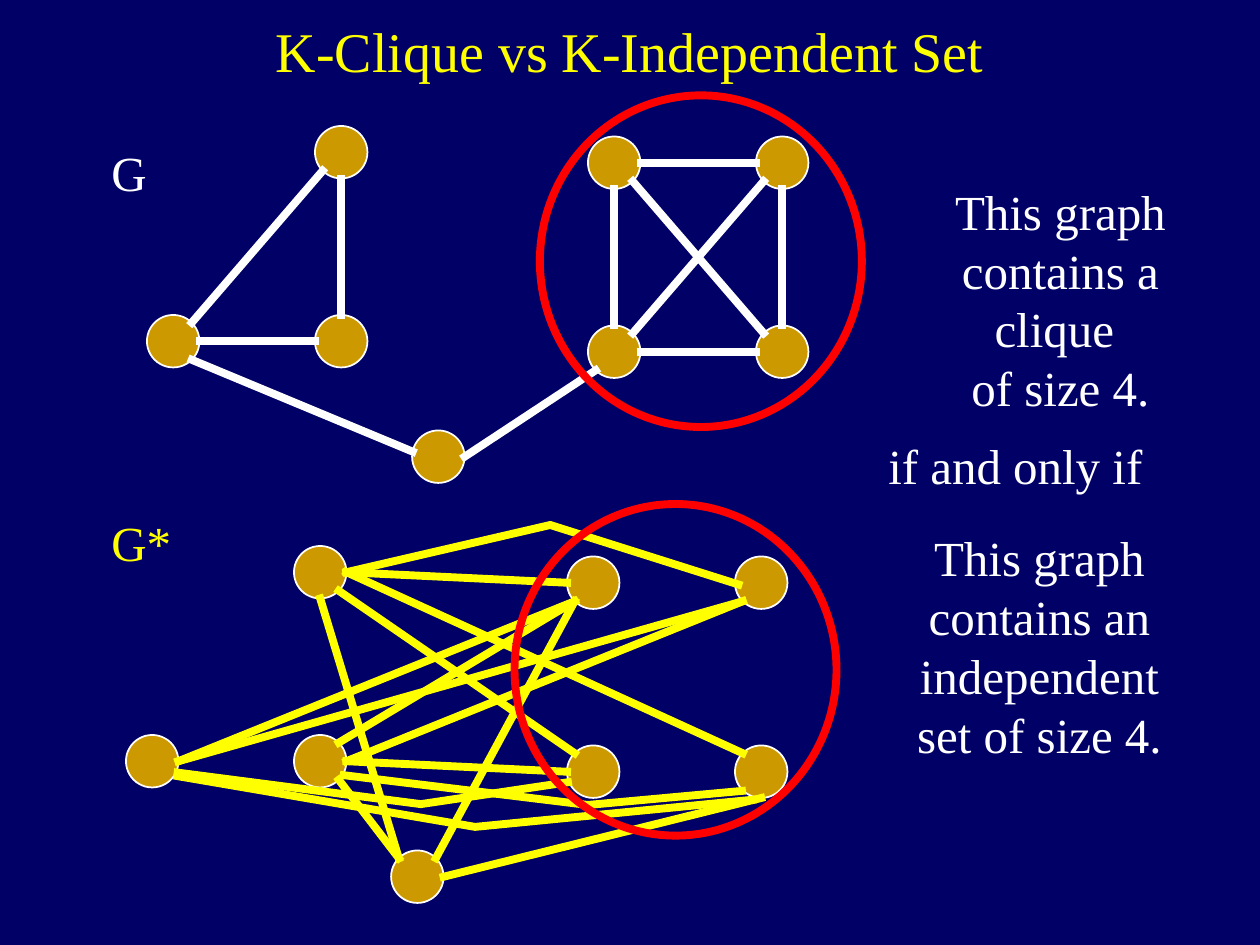
import math

import pptx
import pptx.dml.color
import pptx.enum.shapes
import pptx.enum.text
import pptx.oxml
import pptx.oxml.ns
import pptx.util

Pt = pptx.util.Pt
SHAPES = pptx.enum.shapes.MSO_SHAPE
ALIGN = pptx.enum.text.PP_ALIGN

NAVY = pptx.dml.color.RGBColor(0x00, 0x00, 0x66)
GOLD = pptx.dml.color.RGBColor(0xCC, 0x99, 0x00)
YELLOW = pptx.dml.color.RGBColor(0xFF, 0xFF, 0x00)
WHITE = pptx.dml.color.RGBColor(0xFF, 0xFF, 0xFF)
RED = pptx.dml.color.RGBColor(0xFF, 0x00, 0x00)

FONT = "Times New Roman"
NODE_SIZE = 30
EDGE_WIDTH = 4.5
COMPASS = {"E": 0, "NE": 45, "N": 90, "NW": 135, "WbN": 168.75,
           "W": 180, "SW": 225, "S": 270, "SE": 315}

NODES = {
    "left": (0, 108), "corner": (96, 108), "top": (96, 0), "bottom": (151.5, 174),
    "k_nw": (252, 6), "k_sw": (252, 114), "k_se": (348, 114), "k_ne": (348, 6),
}
CLIQUE_EDGES = [
    ("k_nw", "E", "k_ne", "W"), ("k_nw", "S", "k_sw", "N"),
    ("k_ne", "S", "k_se", "N"), ("k_sw", "E", "k_se", "W"),
    ("k_ne", "SW", "k_sw", "NE"), ("k_nw", "SE", "k_se", "NW"),
    ("bottom", "WbN", "left", "SE"), ("top", "S", "corner", "N"),
    ("left", "E", "corner", "W"), ("top", "SW", "left", "NE"),
    ("bottom", "E", "k_sw", "SW"),
]
COMPLEMENT_EDGES = [
    ("corner", "E", "k_sw", "W"), ("top", "E", "k_nw", "W"),
    ("bottom", "NE", "k_nw", "SW"), ("corner", "NE", "k_nw", "SW"),
    ("left", "E", "k_nw", "SW"), ("top", "SE", "k_sw", "NW"),
    ("top", "S", "bottom", "NW"), ("corner", "E", "k_ne", "SW"),
    ("corner", "SE", "bottom", "NW"), ("left", "E", "k_ne", "SW"),
    ("top", "E", "k_se", "NW"), ("bottom", "E", "k_se", "S"),
]
COMPLEMENT_BENDS = [
    [(126, 15), (242.5, -12), (350, 22)],
    [(29.5, 129.5), (168.5, 147.5), (252.5, 135)],
    [(29.5, 131.5), (199.5, 160.5), (358, 145)],
    [(124.5, 131), (264, 148), (352, 140)],
]


def style_edge(edge, color):
    edge.line.color.rgb = color
    edge.line.width = Pt(EDGE_WIDTH)
    edge.line._get_or_add_ln().set("cap", "sq")


def add_circle(slide, left, top, width, height, line_color, line_width, fill=None):
    circle = slide.shapes.add_shape(SHAPES.OVAL, Pt(left), Pt(top), Pt(width), Pt(height))
    circle.shadow.inherit = False
    if fill is None:
        circle.fill.background()
    else:
        circle.fill.solid()
        circle.fill.fore_color.rgb = fill
    circle.line.color.rgb = line_color
    circle.line.width = Pt(line_width)


def add_graph(slide, left, top, edges, bends, color):
    def rim(node, direction):
        x, y = NODES[node]
        angle = math.radians(COMPASS[direction])
        radius = NODE_SIZE / 2
        return (Pt(left + x + radius * (1 + math.cos(angle))),
                Pt(top + y + radius * (1 - math.sin(angle))))

    for x, y in NODES.values():
        add_circle(slide, left + x, top + y, NODE_SIZE, NODE_SIZE, WHITE, 1, GOLD)
    for start, start_side, end, end_side in edges:
        edge = slide.shapes.add_connector(
            pptx.enum.shapes.MSO_CONNECTOR.STRAIGHT,
            *rim(start, start_side), *rim(end, end_side))
        style_edge(edge, color)
        edge._element.spPr.append(pptx.oxml.parse_xml(
            "<a:effectLst %s/>" % pptx.oxml.ns.nsdecls("a")))
    for bend in bends:
        points = [(Pt(left + x), Pt(top + y)) for x, y in bend]
        builder = slide.shapes.build_freeform(*points[0])
        builder.add_line_segments(points[1:], close=False)
        bent_edge = builder.convert_to_shape()
        bent_edge.shadow.inherit = False
        bent_edge.fill.background()
        style_edge(bent_edge, color)


def write_lines(frame, lines, size, color, align):
    paragraph = frame.paragraphs[0]
    paragraph.alignment = align
    for index, line in enumerate(lines):
        if index:
            paragraph.add_line_break()
        run = paragraph.add_run()
        run.text = line
        run.font.name = FONT
        run.font.size = Pt(size)
        run.font.color.rgb = color


def add_text(slide, left, top, width, height, lines, color=WHITE, align=ALIGN.LEFT, wrap=False):
    box = slide.shapes.add_textbox(Pt(left), Pt(top), Pt(width), Pt(height))
    frame = box.text_frame
    frame.word_wrap = wrap
    frame.margin_left = frame.margin_right = Pt(21.6)
    frame.margin_top = frame.margin_bottom = Pt(3.6)
    write_lines(frame, lines, 28, color, align)


def add_claim(slide, left, top, lines):
    add_text(slide, left, top, 216, 142, lines, align=ALIGN.CENTER, wrap=True)


def add_title(slide, left, top, width, height, heading):
    title = slide.shapes.title
    title.left, title.top, title.width, title.height = map(Pt, (left, top, width, height))
    frame = title.text_frame
    frame.auto_size = pptx.enum.text.MSO_AUTO_SIZE.NONE
    frame.vertical_anchor = pptx.enum.text.MSO_ANCHOR.TOP
    write_lines(frame, [heading], 32, YELLOW, ALIGN.CENTER)


def main():
    deck = pptx.Presentation()
    deck.slide_width, deck.slide_height = Pt(720), Pt(540)
    slide = deck.slides.add_slide(deck.slide_layouts[5])
    slide.background.fill.solid()
    slide.background.fill.fore_color.rgb = NAVY

    add_title(slide, 54, 6, 612, 60, "K-Clique vs K-Independent Set")
    add_graph(slide, 72, 312, COMPLEMENT_EDGES, COMPLEMENT_BENDS, YELLOW)
    add_graph(slide, 84, 72, CLIQUE_EDGES, [], WHITE)
    add_text(slide, 42, 289.5, 78, 41, ["G*"], YELLOW)
    add_text(slide, 42, 78, 63, 41, ["G"])
    add_claim(slide, 498, 100, ["This graph contains a clique ", "of size 4."])
    add_circle(slide, 308.5, 54.5, 184, 189.5, RED, EDGE_WIDTH)
    add_claim(slide, 486, 298, ["This graph contains an independent set of size 4."])
    add_circle(slide, 294, 288, 184, 189.5, RED, EDGE_WIDTH)
    add_text(slide, 486, 245.5, 189, 41, ["if and only if"])

    deck.save("out.pptx")


if __name__ == "__main__":
    main()
